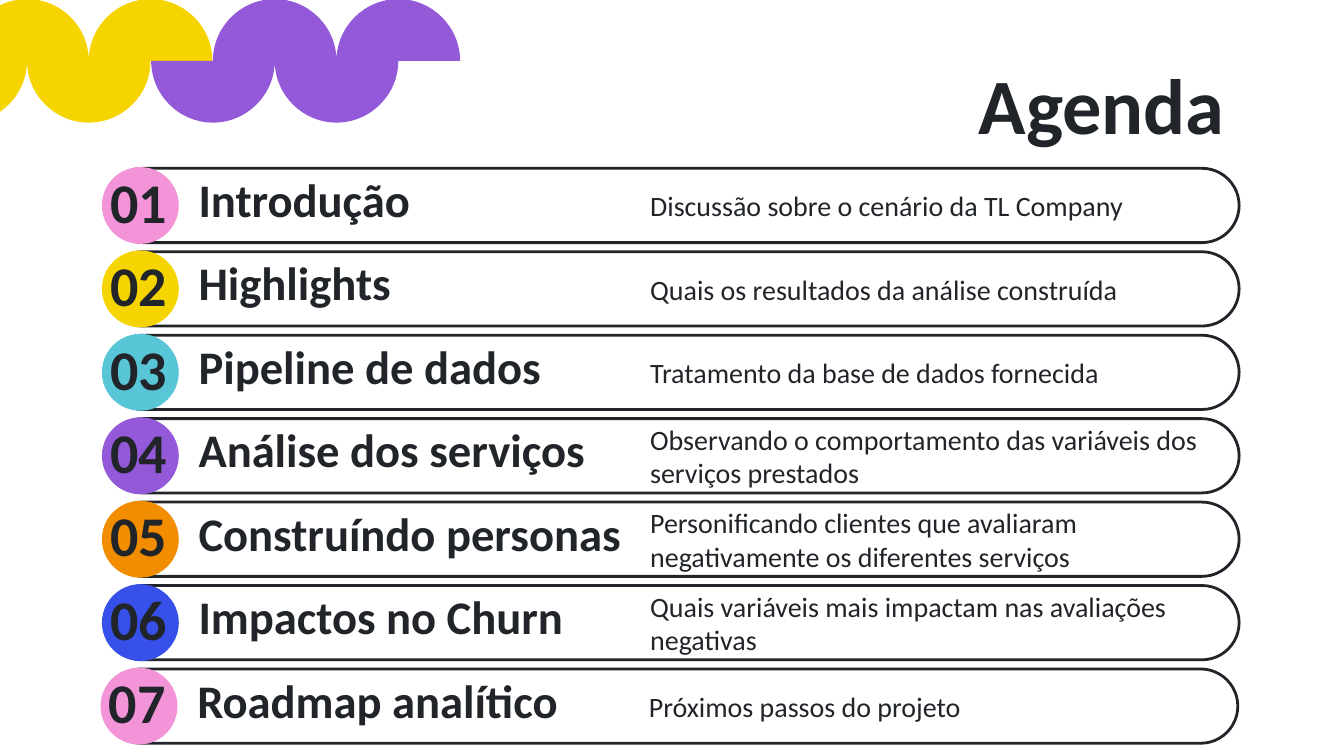
from lxml.etree import SubElement
from pptx import Presentation
from pptx.dml.color import RGBColor
from pptx.enum.shapes import MSO_SHAPE
from pptx.enum.text import MSO_ANCHOR, PP_ALIGN
from pptx.oxml.ns import qn
from pptx.util import Pt

WHITE = RGBColor(0xFF, 0xFF, 0xFF)
INK = RGBColor(0x21, 0x25, 0x29)
PINK = RGBColor(0xF3, 0x93, 0xD8)
YELLOW = RGBColor(0xF6, 0xD4, 0x00)
TEAL = RGBColor(0x59, 0xC6, 0xD8)
PURPLE = RGBColor(0x93, 0x59, 0xD8)
ORANGE = RGBColor(0xF2, 0x8D, 0x00)
BLUE = RGBColor(0x36, 0x50, 0xE9)

WAVE = [(2, 0), (1, 1), (0, 1), (1, 2), (2, 1), (3, 2),
        (4, 1), (5, 1), (4, 0), (3, 1), (2, 0)]

TOPICS = [
    (PINK, "Introdução", "Discussão sobre o cenário da TL Company"),
    (YELLOW, "Highlights", "Quais os resultados da análise construída"),
    (TEAL, "Pipeline de dados", "Tratamento da base de dados fornecida"),
    (PURPLE, "Análise dos serviços",
     "Observando o comportamento das variáveis dos serviços prestados"),
    (ORANGE, "Construíndo personas",
     "Personificando clientes que avaliaram negativamente os diferentes serviços"),
    (BLUE, "Impactos no Churn",
     "Quais variáveis mais impactam nas avaliações negativas"),
    (PINK, "Roadmap analítico", "Próximos passos do projeto"),
]


def add_text(slide, text, box, size=15, bold=False, top=7.2,
             align=PP_ALIGN.LEFT, anchor=MSO_ANCHOR.MIDDLE):
    frame = slide.shapes.add_textbox(*map(Pt, box)).text_frame
    frame.word_wrap = True
    frame.vertical_anchor = anchor
    frame.margin_left = frame.margin_right = frame.margin_bottom = Pt(7.2)
    frame.margin_top = Pt(top)
    line = frame.paragraphs[0]
    line.alignment = align
    run = line.add_run()
    run.text = text
    run.font.name = "Calibri"
    run.font.size = Pt(size)
    run.font.bold = bold
    run.font.color.rgb = INK


def paint(shape, fill, edge=None):
    shape.shadow.inherit = False
    shape.fill.solid()
    shape.fill.fore_color.rgb = fill
    if edge is None:
        shape.line.fill.background()
    else:
        shape.line.color.rgb = edge
        shape.line.width = Pt(1.5)


def bend(shape, dots):
    lines = list(shape._element.iter(qn("a:lnTo")))
    for line, start, end in zip(lines, dots, dots[1:]):
        if start[1] == end[1]:
            continue
        peak = (start[0], end[1]) if start[1] == 1 else (end[0], start[1])
        line.tag = qn("a:cubicBezTo")
        goal = line[0]
        for dot in (start, end):
            pull = [d + 0.55 * (p - d) for d, p in zip(dot, peak)]
            knob = SubElement(line, qn("a:pt"))
            for key, size, axis in (("x", 5, 0), ("y", 2, 1)):
                full = int(line.getparent().get("w" if axis == 0 else "h"))
                knob.set(key, str(round(pull[axis] * full / size)))
        line.append(goal)


def add_wave(slide, box, color):
    left, top, width, height = box
    dots = [(Pt(left + x * width / 5), Pt(top + y * height / 2))
            for x, y in WAVE]
    form = slide.shapes.build_freeform(*dots[0])
    form.add_line_segments(dots[1:], close=True)
    wave = form.convert_to_shape()
    bend(wave, WAVE)
    paint(wave, color)


def add_row(slide, box, number, color, name, detail):
    left, top, width, height = box
    pill = slide.shapes.add_shape(
        MSO_SHAPE.ROUNDED_RECTANGLE,
        Pt(left + 2), Pt(top + 0.7), Pt(width - 2), Pt(height - 1.4))
    pill.adjustments[0] = 0.5
    paint(pill, WHITE, INK)
    badge = slide.shapes.add_shape(
        MSO_SHAPE.OVAL, Pt(left), Pt(top), Pt(height), Pt(height))
    paint(badge, color)
    high = height - 9.6
    add_text(slide, f"{number:02}", (left - 2.7, top + 4.8, 52.6, high),
             size=30, bold=True, top=2.2)
    add_text(slide, name, (left + 44.7, top + 4.8, 264, high),
             size=25, bold=True, top=0)
    add_text(slide, detail, (left + 286.6, top + 4.8, 327.6, high))


def add_list(slide, box):
    left, top, width, height = box
    high = 41.2
    last = len(TOPICS) - 1
    step = (height - high) / last
    for i, topic in enumerate(TOPICS):
        start = left - 0.7 if i == last else left
        add_row(slide, (start, top + i * step, width, high), i + 1, *topic)


def main():
    deck = Presentation()
    deck.slide_width, deck.slide_height = Pt(720), Pt(405)
    slide = deck.slides.add_slide(deck.slide_layouts[6])
    add_wave(slide, (-51.7, -0.5, 165.5, 66.2), YELLOW)
    add_wave(slide, (81, -0.5, 165.5, 66.2), PURPLE)
    add_text(slide, "Agenda", (56.2, 23, 607, 56.2), size=42, bold=True,
             align=PP_ALIGN.RIGHT, anchor=MSO_ANCHOR.TOP)
    add_list(slide, (54.6, 89.5, 609.2, 309.4))
    deck.save("out.pptx")


if __name__ == "__main__":
    main()
